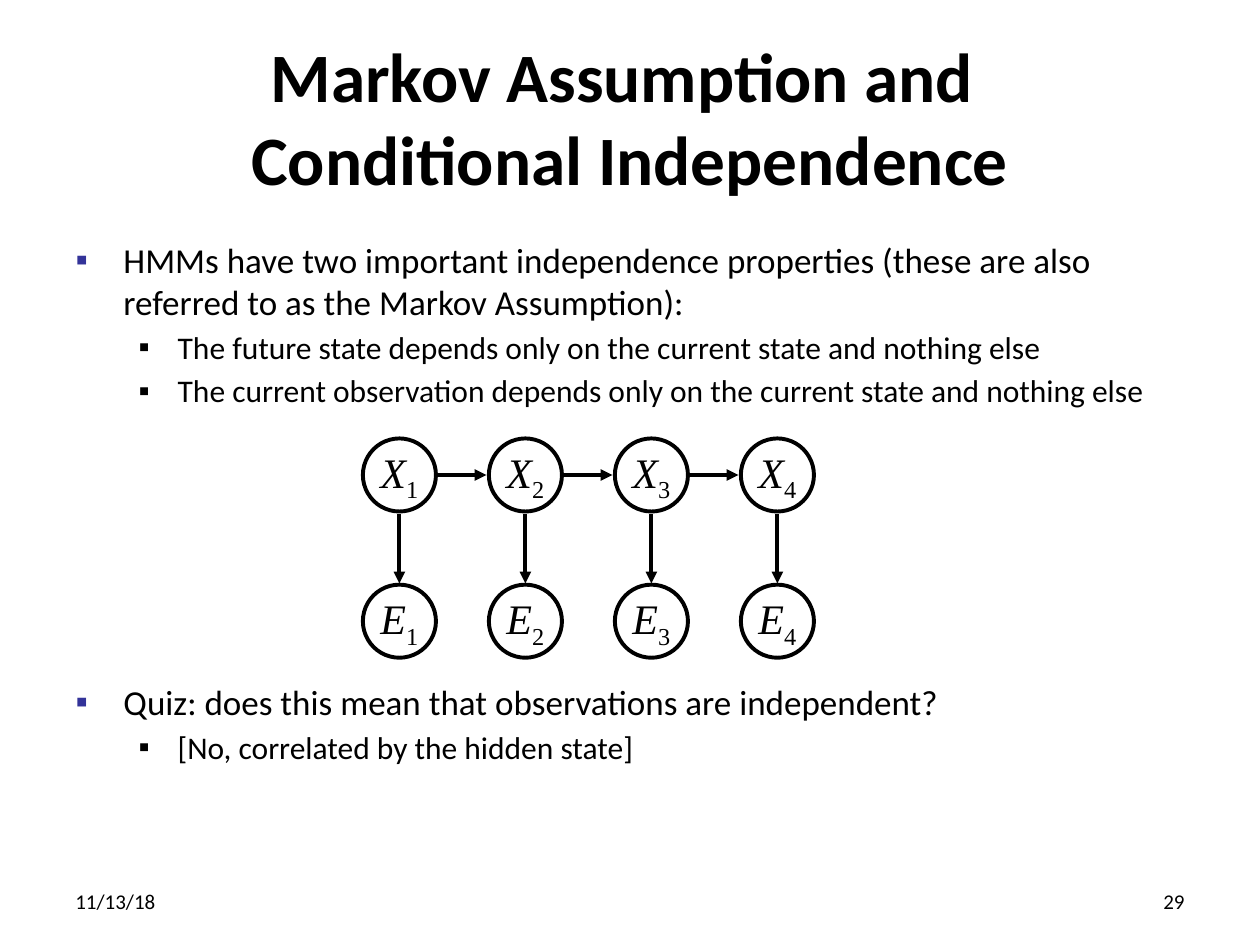
from typing import NamedTuple

from lxml import etree
from pptx import Presentation
from pptx import util as u
from pptx.dml.color import RGBColor
from pptx.enum import shapes, text
from pptx.oxml.ns import qn

BLACK, WHITE, INDIGO = "000000", "FFFFFF", "333399"
STEPS = 4
FIRST_X, STEP_GAP = 3.17, 1.0
STATE_Y, EVIDENCE_Y = 3.77, 4.93
DIAMETER, CLEARANCE = 0.58, 0.31
LINE_WIDTH = u.Pt(2.25)


class Level(NamedTuple):
    size: float
    margin: float
    hanging: float
    bullet_color: str


class Bullet(NamedTuple):
    words: str
    level: int
    space_before: float


LEVELS = [Level(20, 0.38, 0.38, INDIGO), Level(18, 0.81, 0.31, BLACK)]
BULLETS = [
    Bullet("HMMs have two important independence properties (these are also "
           "referred to as the Markov Assumption):", 0, 0),
    Bullet("The future state depends only on the current state and nothing else", 1, 3.2),
    Bullet("The current observation depends only on the current state and nothing else", 1, 3.2),
    Bullet("Quiz: does this mean that observations are independent?", 0, 155),
    Bullet("[No, correlated by the hidden state]", 1, 3.2),
]


def rgb(value: str) -> RGBColor:
    return RGBColor.from_string(value)


def add_text(para, words: str, *, size: float, font: str = "Calibri", color: str = BLACK,
             bold: bool = False, italic: bool = False, baseline: int = 0) -> None:
    span = para.add_run()
    span.text = words
    span.font.size = u.Pt(size)
    span.font.name = font
    span.font.color.rgb = rgb(color)
    span.font.bold = bold
    span.font.italic = italic
    if baseline:
        span._r.get_or_add_rPr().set("baseline", str(baseline * 1000))


def place(shape, left: float, top: float, width: float, height: float) -> None:
    shape.left, shape.top = u.Inches(left), u.Inches(top)
    shape.width, shape.height = u.Inches(width), u.Inches(height)


def fill_title(title) -> None:
    place(title, 0.5, 0.3, 9, 1.25)
    frame = title.text_frame
    frame.auto_size = text.MSO_AUTO_SIZE.NONE
    frame.vertical_anchor = text.MSO_ANCHOR.MIDDLE
    para = frame.paragraphs[0]
    para.alignment = text.PP_ALIGN.CENTER
    add_text(para, "Markov Assumption and ", size=39.6, bold=True)
    para.add_line_break()
    add_text(para, "Conditional Independence", size=39.6, bold=True)


def set_bullet(para, level: Level) -> None:
    properties = para._p.get_or_add_pPr()
    properties.set("marL", str(u.Inches(level.margin)))
    properties.set("indent", str(-u.Inches(level.hanging)))
    color = etree.SubElement(properties, qn("a:buClr"))
    etree.SubElement(color, qn("a:srgbClr"), val=level.bullet_color)
    etree.SubElement(properties, qn("a:buChar"), char="▪")


def fill_body(body) -> None:
    place(body, 0.5, 1.84, 9, 4.67)
    frame = body.text_frame
    frame.auto_size = text.MSO_AUTO_SIZE.NONE
    for index, bullet in enumerate(BULLETS):
        para = frame.add_paragraph() if index else frame.paragraphs[0]
        level = LEVELS[bullet.level]
        para.level = bullet.level
        set_bullet(para, level)
        para.space_before = u.Pt(bullet.space_before)
        add_text(para, bullet.words, size=level.size)


def add_footer(page, words: str, left: float, alignment) -> None:
    box = page.shapes.add_textbox(u.Inches(left), u.Inches(6.95), u.Inches(2.33), u.Inches(0.4))
    box.text_frame.word_wrap = True
    box.text_frame.vertical_anchor = text.MSO_ANCHOR.MIDDLE
    para = box.text_frame.paragraphs[0]
    para.alignment = alignment
    add_text(para, words, size=12)


def add_node(page, letter: str, number: int, x: float, y: float) -> None:
    """Draw a circled variable centred on x, y."""
    node = page.shapes.add_shape(
        shapes.MSO_SHAPE.OVAL, u.Inches(x - DIAMETER / 2), u.Inches(y - DIAMETER / 2),
        u.Inches(DIAMETER), u.Inches(DIAMETER))
    node.shadow.inherit = False
    node.fill.solid()
    node.fill.fore_color.rgb = rgb(WHITE)
    node.line.color.rgb = rgb(BLACK)
    node.line.width = LINE_WIDTH
    node.text_frame.word_wrap = False
    node.text_frame.vertical_anchor = text.MSO_ANCHOR.MIDDLE
    para = node.text_frame.paragraphs[0]
    para.alignment = text.PP_ALIGN.CENTER
    add_text(para, letter, size=24, font="Times New Roman", italic=True)
    add_text(para, str(number), size=24, font="Times New Roman", baseline=-25)


def add_arrow(page, x1: float, y1: float, x2: float, y2: float) -> None:
    arrow = page.shapes.add_connector(
        shapes.MSO_CONNECTOR.STRAIGHT, u.Inches(x1), u.Inches(y1), u.Inches(x2), u.Inches(y2))
    arrow.line.color.rgb = rgb(BLACK)
    arrow.line.width = LINE_WIDTH
    etree.SubElement(arrow.line._get_or_add_ln(), qn("a:tailEnd"), type="triangle")
    etree.SubElement(arrow._element.spPr, qn("a:effectLst"))


def add_model(page) -> None:
    for step in range(STEPS):
        x = FIRST_X + step * STEP_GAP
        add_node(page, "X", step + 1, x, STATE_Y)
        add_node(page, "E", step + 1, x, EVIDENCE_Y)
        add_arrow(page, x, STATE_Y + CLEARANCE, x, EVIDENCE_Y - CLEARANCE + 0.01)
        if step < STEPS - 1:
            add_arrow(page, x + CLEARANCE, STATE_Y, x + STEP_GAP - CLEARANCE, STATE_Y)


def main() -> None:
    deck = Presentation()
    deck.slide_width, deck.slide_height = u.Inches(10), u.Inches(7.5)
    page = deck.slides.add_slide(deck.slide_layouts[1])
    fill_title(page.shapes.title)
    fill_body(page.placeholders[1])
    add_footer(page, "11/13/18", 0.5, text.PP_ALIGN.LEFT)
    add_footer(page, "29", 7.17, text.PP_ALIGN.RIGHT)
    add_model(page)
    deck.save("out.pptx")


if __name__ == "__main__":
    main()
